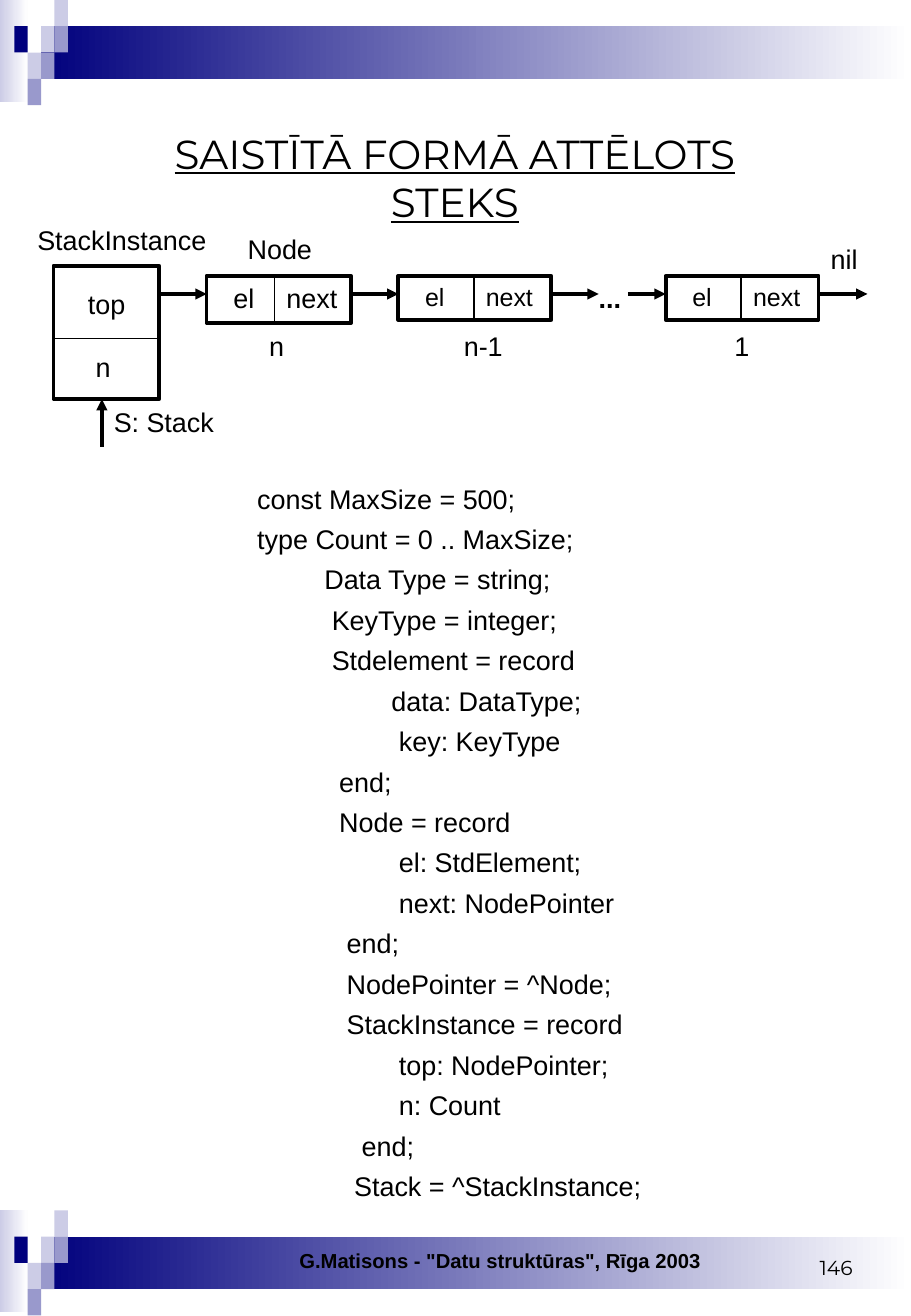
import lxml.etree
import pptx
import pptx.dml.color
import pptx.enum.shapes
import pptx.enum.text
import pptx.oxml.ns
import pptx.util

Cm = pptx.util.Cm
Pt = pptx.util.Pt
ALIGN = pptx.enum.text.PP_ALIGN
ANCHOR = pptx.enum.text.MSO_ANCHOR
RECTANGLE = pptx.enum.shapes.MSO_SHAPE.RECTANGLE
COLORS = {"ink": "000000", "white": "FFFFFF", "navy": "00007D", "mid": "9999CC", "pale": "CCCCE6"}
CODE = """const MaxSize = 500;
type Count = 0 .. MaxSize;
         Data Type = string;
          KeyType = integer;
          Stdelement = record
                  data: DataType;
                   key: KeyType
           end;
           Node = record
                   el: StdElement;
                   next: NodePointer
            end;
            NodePointer = ^Node;
            StackInstance = record
                   top: NodePointer;
                   n: Count
              end;
             Stack = ^StackInstance;"""


def color(name):
    """Return the named palette colour."""
    return pptx.dml.color.RGBColor.from_string(COLORS[name])


def add_span(para, text, size=16, font="Arial", bold=False, underline=False):
    """Add one formatted run to a paragraph."""
    span = para.add_run()
    span.text = text
    span.font.size = Pt(size)
    span.font.name = font
    span.font.bold = bold
    span.font.underline = underline
    span.font.color.rgb = color("ink")


def add_text(page, box, text, indent=0.25, align=ALIGN.LEFT, anchor=ANCHOR.TOP,
             line_spacing=None, space_before=0, **style):
    """Add a text box with one paragraph per line of text."""
    frame = page.shapes.add_textbox(*map(Cm, box)).text_frame
    frame.word_wrap = True
    frame.vertical_anchor = anchor
    frame.margin_left = Cm(indent)
    for number, line in enumerate(text.split("\n")):
        para = frame.add_paragraph() if number else frame.paragraphs[0]
        para.alignment = align
        para.line_spacing = line_spacing
        para.space_before = Pt(space_before if number else 0)
        add_span(para, line, **style)


def add_rectangle(page, box, fill=None):
    """Add a flat rectangle, filled or left hollow with a black frame."""
    shape = page.shapes.add_shape(RECTANGLE, *map(Cm, box))
    shape.shadow.inherit = False
    if fill:
        shape.fill.solid()
        shape.fill.fore_color.rgb = color(fill)
        shape.line.fill.background()
    else:
        shape.fill.background()
        shape.line.color.rgb = color("ink")
        shape.line.width = Pt(2.25)
    return shape


def add_fade(page, box, start):
    """Add a rectangle fading from a colour to white, left to right."""
    fill = add_rectangle(page, box, start).fill
    fill.gradient()
    fill.gradient_angle = 0
    for stop, name in zip(fill.gradient_stops, (start, "white")):
        stop.color.rgb = color(name)


def add_line(page, start, end, width=2.25, arrow=False):
    """Add a straight line, with an arrowhead at its end if asked."""
    kind = pptx.enum.shapes.MSO_CONNECTOR.STRAIGHT
    line = page.shapes.add_connector(kind, *map(Cm, start + end))
    line.line.color.rgb = color("ink")
    line.line.width = Pt(width)
    qn = pptx.oxml.ns.qn
    properties = line.element.spPr
    if arrow:
        lxml.etree.SubElement(properties.find(qn("a:ln")), qn("a:tailEnd"), type="triangle")
    lxml.etree.SubElement(properties, qn("a:effectLst"))


def draw_band(page, top):
    """Draw the decorative band and its mosaic of squares."""
    left, column, row = 0.3, 0.28, 0.55
    add_fade(page, (0, top, left + column, 2.13), "pale")
    add_fade(page, (left + 2 * column, top + row, 18.19, 2 * row), "navy")
    squares = [(2, 1, "pale"), (3, 0, "pale"), (3, 1, "mid"), (1, 2, "pale"),
               (0, 1, "navy"), (2, 2, "mid"), (1, 3, "mid")]
    for across, down, fill in squares:
        add_rectangle(page, (left + across * column, top + down * row, column, row), fill)


def draw_title(page, box):
    """Fill and place the underlined two-line title."""
    title = page.shapes.title
    title.left, title.top, title.width, title.height = map(Cm, box)
    frame = title.text_frame
    frame.word_wrap = True
    frame.auto_size = pptx.enum.text.MSO_AUTO_SIZE.NONE
    frame.vertical_anchor = ANCHOR.TOP
    para = frame.paragraphs[0]
    para.alignment = ALIGN.CENTER
    style = {"size": 24, "font": "Montserrat", "underline": True}
    add_span(para, "SAISTĪTĀ FORMĀ ATTĒLOTS", **style)
    para.add_line_break()
    add_span(para, "STEKS", **style)


def draw_stack(page, box):
    """Draw the stack record with its top and n fields and its pointer."""
    left, top, width, height = box
    split = 1.52
    add_text(page, (left, top, width, split), "top", indent=0.72, line_spacing=1.5)
    add_text(page, (left, top + split, width, height - split), "n", indent=0.88, line_spacing=1.2)
    add_rectangle(page, box)
    add_line(page, (left, top + split), (left + width, top + split), 1)
    bottom, pointer = top + height, left + 1.01
    add_line(page, (pointer, bottom + 1), (pointer, bottom), arrow=True)
    add_text(page, (pointer, bottom, 3.2, 0.94), "S: Stack")
    add_text(page, (left - 0.59, top - 1.01, 4.19, 0.94), "StackInstance")


def draw_node(page, box, split, size, caption, caption_left):
    """Draw one list node with el and next fields and its number below."""
    left, top, width, height = box
    add_text(page, (left, top, split, height), "el", indent=0.56, size=size)
    add_text(page, (left + split, top, width - split, height), "next", size=size)
    add_rectangle(page, box)
    add_line(page, (left + split, top), (left + split, top + height), 1)
    add_text(page, (left + caption_left, top + 0.99, 1.7, 0.94), caption)


def draw_list(page, left, top):
    """Draw the chain of nodes with its arrows and labels."""
    draw_node(page, (left, top, 3.02, 0.99), 1.42, 16, "n", 1.06)
    for offset, caption, caption_left in ((4.01, "n-1", 1.12), (9.6, "1", 1.19)):
        draw_node(page, (left + offset, top, 3.2, 0.92), 1.58, 14.8, caption, caption_left)
    for start, end in ((-0.99, 0), (3, 4.01), (7.21, 8.2), (8.81, 9.6), (12.8, 13.82)):
        add_line(page, (left + start, top + 0.38), (left + end, top + 0.38), arrow=True)
    add_text(page, (left + 0.61, top - 1.02, 2.2, 0.94), "Node")
    add_text(page, (left + 7.95, top, 1.3, 0.94), "...", bold=True)
    add_text(page, (left + 12.8, top - 0.82, 1.2, 0.94), "nil")


def draw_footer(page, top):
    """Place the footer line and the page number."""
    style = {"align": ALIGN.RIGHT, "anchor": ANCHOR.BOTTOM, "size": 12}
    add_text(page, (2.31, top, 12.6, 0.79), 'G.Matisons - "Datu struktūras", Rīga 2003',
             bold=True, **style)
    add_text(page, (15.11, top, 2.97, 0.94), "146", font="Montserrat", **style)


def main():
    """Build the slide and save the deck."""
    deck = pptx.Presentation()
    deck.slide_width, deck.slide_height = Cm(19.05), Cm(27.53)
    page = deck.slides.add_slide(deck.slide_layouts[5])
    for top in (25.32, 0):
        draw_band(page, top)
    draw_title(page, (0.71, 2.57, 17.6, 2.4))
    draw_stack(page, (1.12, 5.56, 2.21, 2.79))
    draw_list(page, 4.32, 5.77)
    add_text(page, (5.13, 9.96, 12.2, 14.83), CODE, space_before=4.8)
    draw_footer(page, 25.96)
    deck.save("out.pptx")


if __name__ == "__main__":
    main()
